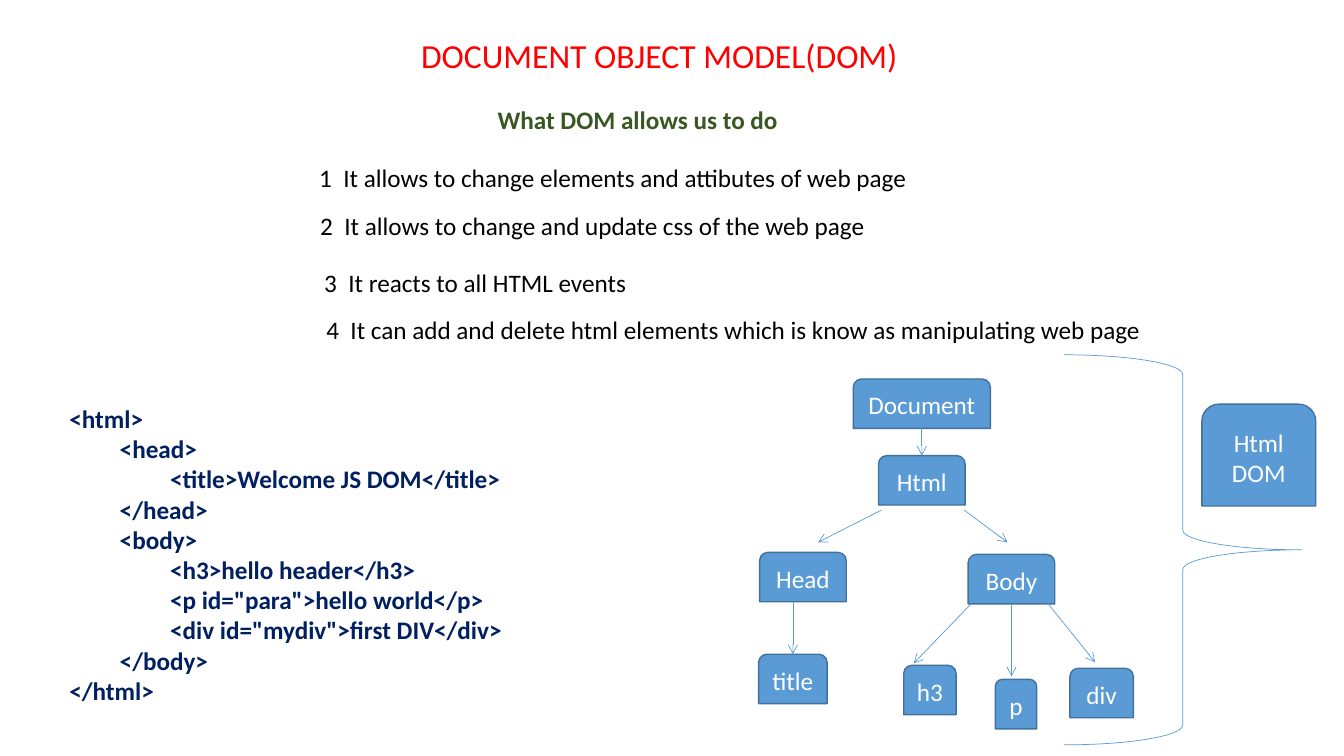
from dataclasses import dataclass

from lxml import etree
from pptx import Presentation
from pptx import util as u
from pptx.dml.color import RGBColor
from pptx.enum import shapes, text
from pptx.oxml.ns import qn


@dataclass(frozen=True)
class Theme:
    font: str = "Calibri"
    title: str = "FF0000"
    heading: str = "385723"
    body: str = "000000"
    code: str = "002060"
    node_text: str = "FFFFFF"
    node_fill: str = "5B9BD5"
    node_line: str = "41719C"
    link: str = "5B9BD5"
    title_size: int = 24
    text_size: int = 18
    node_width: float = 1
    link_width: float = 0.5


class SlideBuilder:
    def __init__(self, deck, theme):
        self.theme = theme
        self.page = deck.slides.add_slide(deck.slide_layouts[5])

    def fill_text(self, frame, lines, color, size=None, bold=False,
                  align=text.PP_ALIGN.LEFT, anchor=text.MSO_ANCHOR.TOP, hanging=0):
        frame.word_wrap = True
        frame.auto_size = text.MSO_AUTO_SIZE.NONE
        frame.vertical_anchor = anchor
        for index, line in enumerate(lines):
            para = frame.add_paragraph() if index else frame.paragraphs[0]
            para.alignment = align
            if hanging:
                properties = para._p.get_or_add_pPr()
                properties.set("marL", str(u.Inches(hanging)))
                properties.set("indent", str(-u.Inches(hanging)))
            span = para.add_run()
            span.text = line
            span.font.name = self.theme.font
            span.font.size = u.Pt(size or self.theme.text_size)
            span.font.bold = bold
            span.font.color.rgb = RGBColor.from_string(color)

    def title(self, line, left, top, width, height):
        box = self.page.shapes.title
        box.left, box.top = u.Inches(left), u.Inches(top)
        box.width, box.height = u.Inches(width), u.Inches(height)
        self.fill_text(box.text_frame, [line], self.theme.title, self.theme.title_size)

    def text(self, lines, left, top, width, height, color, **style):
        box = self.page.shapes.add_textbox(*map(u.Inches, (left, top, width, height)))
        self.fill_text(box.text_frame, lines, color, **style)

    def node(self, label, left, top, width, height=0.49):
        box = self.page.shapes.add_shape(
            shapes.MSO_SHAPE.ROUND_2_SAME_RECTANGLE,
            *map(u.Inches, (left, top, width, height)))
        box.shadow.inherit = False
        box.fill.solid()
        box.fill.fore_color.rgb = RGBColor.from_string(self.theme.node_fill)
        self.outline(box, self.theme.node_line, self.theme.node_width)
        self.fill_text(box.text_frame, label.split("\n"), self.theme.node_text,
                       align=text.PP_ALIGN.CENTER, anchor=text.MSO_ANCHOR.MIDDLE)
        return box

    def arrow(self, start, end, source=None, target=None):
        link = self.page.shapes.add_connector(
            shapes.MSO_CONNECTOR.STRAIGHT, *map(u.Inches, start + end))
        if source is not None:
            link.begin_connect(source, 2)
        if target is not None:
            link.end_connect(target, 0)
        self.outline(link, self.theme.link, self.theme.link_width)
        line = link._element.spPr.find(qn("a:ln"))
        etree.SubElement(line, qn("a:tailEnd"), type="arrow")
        etree.SubElement(link._element.spPr, qn("a:effectLst"))

    def brace(self, left, top, width, height):
        brace = self.page.shapes.add_shape(
            shapes.MSO_SHAPE.RIGHT_BRACE, *map(u.Inches, (left, top, width, height)))
        brace.shadow.inherit = False
        brace.fill.background()
        self.outline(brace, self.theme.link, self.theme.link_width)

    def outline(self, item, color, width):
        item.line.color.rgb = RGBColor.from_string(color)
        item.line.width = u.Pt(width)


ABILITIES = [
    ("1\tIt allows to change elements and attibutes of web page", 3.07, 1.56, 6.31),
    ("2\tIt allows to change and update css of the web page", 3.08, 2.04, 6.16),
    ("3\tIt reacts to all HTML events", 3.12, 2.6, 6.16),
    ("4\tIt can add and delete html elements which is know as manipulating web page",
     3.14, 3.07, 9.11),
]

CODE = """<html>
\t<head>
\t\t<title>Welcome JS DOM</title>
\t</head>
\t<body>
\t\t<h3>hello header</h3>
\t\t<p id="para">hello world</p>
\t\t<div id="mydiv">first DIV</div>
\t</body>
</html>"""

NODES = [
    ("Document", 8.47, 3.76, 1.36),
    ("Html", 8.72, 4.52, 0.86),
    ("Head", 7.54, 5.48, 0.86),
    ("title", 7.53, 6.49, 0.68),
    ("Body", 9.61, 5.5, 0.86),
    ("h3", 8.97, 6.6, 0.52),
    ("p", 9.88, 6.74, 0.41),
    ("div", 10.62, 6.63, 0.63),
    ("Html\nDOM", 11.93, 4.01, 1.13, 1.01),
]

ARROWS = [
    ((9.15, 4.25), (9.15, 4.52), "Document", "Html"),
    ((8.75, 5.06), (8.12, 5.38), None, None),
    ((9.57, 5.06), (10, 5.38), None, None),
    ((7.87, 5.97), (7.87, 6.49), None, "title"),
    ((9.63, 6), (9.07, 6.58), None, None),
    ((10.04, 5.99), (10.04, 6.71), "Body", None),
    ((10.38, 5.96), (10.87, 6.57), None, None),
]


def main():
    deck = Presentation()
    deck.slide_width, deck.slide_height = u.Inches(13.34), u.Inches(7.5)
    theme = Theme()
    slide = SlideBuilder(deck, theme)

    slide.title("DOCUMENT OBJECT MODEL(DOM)", 4.08, 0.3, 5.19, 0.5)
    slide.text(["What DOM allows us to do"], 4.84, 0.99, 3.01, 0.4,
               theme.heading, bold=True)
    for line, left, top, width in ABILITIES:
        slide.text([line], left, top, width, 0.4, theme.body, hanging=0.24)
    slide.text(CODE.split("\n"), 0.59, 3.95, 5.54, 3.1, theme.code, bold=True)

    nodes = {label: slide.node(label, *place) for label, *place in NODES}
    for start, end, source, target in ARROWS:
        slide.arrow(start, end, nodes.get(source), nodes.get(target))
    slide.brace(10.56, 3.52, 2.36, 3.87)

    deck.save("out.pptx")


if __name__ == "__main__":
    main()
